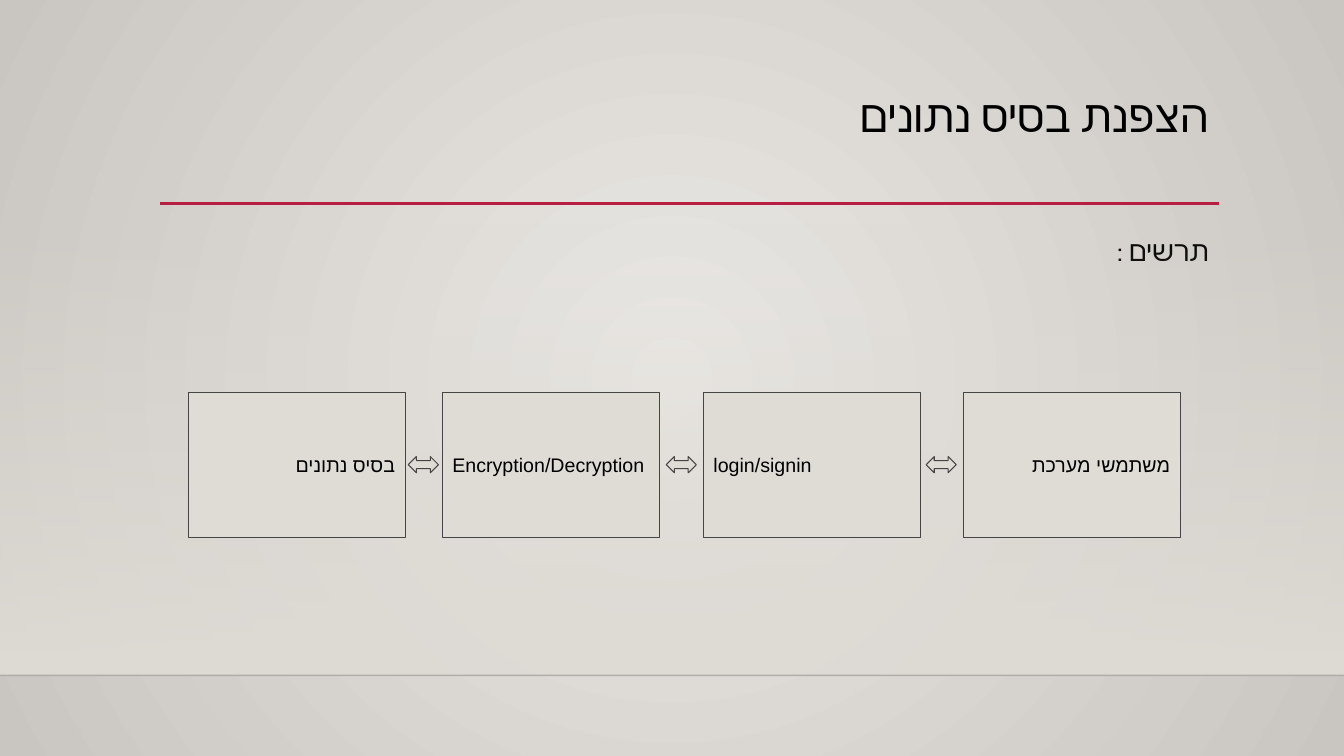
from dataclasses import dataclass

from lxml.etree import SubElement
from pptx import Presentation
from pptx.dml.color import RGBColor
from pptx.enum.shapes import MSO_CONNECTOR as Connector, MSO_SHAPE as Preset
from pptx.enum.text import MSO_ANCHOR as Anchor, MSO_AUTO_SIZE as AutoSize, PP_ALIGN as Align
from pptx.oxml.ns import qn
from pptx.util import Cm, Pt

COLORS = {
    "glow": "EBE9E6", "edge": "C9C5C0", "panel": "DFDBD5", "outline": "454545",
    "accent": "B71E42", "floor": "000001", "text": "000000",
}
SLIDE_WIDTH, SLIDE_HEIGHT = 33.87, 19.05
FLOOR_TOP = 17.02
BOX_TOP, BOX_WIDTH, BOX_HEIGHT = 9.88, 5.46, 3.66
ARROW_WIDTH, ARROW_HEIGHT = 0.76, 0.41


@dataclass
class Stage:
    text: str
    left: float
    rtl: bool


@dataclass
class Rule:
    left: float
    right: float
    top: float
    color: str
    width: float
    opacity: int = 100


@dataclass
class Block:
    text: str
    top: float
    height: float
    size: int
    paragraph_format: dict


STAGES = [
    Stage("בסיס נתונים", 4.75, True),
    Stage("Encryption/Decryption", 11.15, False),
    Stage("login/signin", 17.73, False),
    Stage("משתמשי מערכת", 24.28, True),
]
ARROW_LEFTS = [10.29, 16.79, 23.34]
RULES = [
    Rule(0, SLIDE_WIDTH, FLOOR_TOP, "floor", 1, 20),
    Rule(4.04, 30.73, 5.13, "accent", 2.5),
]
BLOCKS = [
    Block("הצפנת בסיס נתונים ", 2.24, 2.92, 32, {"line_spacing": 0.9}),
    Block("תרשים :", 5.59, 9.58, 20, {"line_spacing": 1.2, "space_before": Pt(10)}),
]


def rgb(name: str) -> RGBColor:
    return RGBColor.from_string(COLORS[name])


def apply(target, values: dict) -> None:
    for name, value in values.items():
        setattr(target, name, value)


def set_opacity(element, percent: int) -> None:
    for color in element.iter(qn("a:srgbClr")):
        SubElement(color, qn("a:alpha"), val=str(percent * 1000))


def set_gradient(fill, first: str, last: str) -> None:
    fill.gradient()
    for stop, name in zip(fill.gradient_stops, (first, last)):
        stop.color.rgb = rgb(name)


def paint_background(slide) -> None:
    """Fill the slide with a gradient that spreads from its centre."""
    set_gradient(slide.background.fill, "glow", "edge")
    gradient = next(slide.element.iter(qn("a:gradFill")))
    gradient.remove(gradient.find(qn("a:lin")))
    circle = SubElement(gradient, qn("a:path"), path="circle")
    SubElement(circle, qn("a:fillToRect"), l="50000", t="50000", r="50000", b="50000")


def add_wall(slide) -> None:
    """Add the panel that fades in from clear to solid at the floor line."""
    wall = slide.shapes.add_shape(
        Preset.RECTANGLE, 0, Cm(5.61), Cm(SLIDE_WIDTH), Cm(FLOOR_TOP - 5.61))
    wall.shadow.inherit = False
    wall.line.fill.background()
    set_gradient(wall.fill, "panel", "panel")
    wall.fill.gradient_angle = 270
    set_opacity(next(wall.element.iter(qn("a:gs"))), 0)


def add_rule(slide, rule: Rule) -> None:
    connector = slide.shapes.add_connector(
        Connector.STRAIGHT, Cm(rule.left), Cm(rule.top), Cm(rule.right), Cm(rule.top))
    connector.line.color.rgb = rgb(rule.color)
    connector.line.width = Pt(rule.width)
    properties = connector.element.spPr
    if rule.opacity < 100:
        set_opacity(properties, rule.opacity)
    SubElement(properties, qn("a:effectLst"))


def write_text(shape, text: str, font_name: str, size: int, rtl: bool) -> None:
    paragraph = shape.text_frame.paragraphs[0]
    paragraph.alignment = Align.RIGHT if rtl else Align.LEFT
    if rtl:
        paragraph._p.get_or_add_pPr().set("rtl", "1")
    run = paragraph.add_run()
    run.text = text
    apply(run.font, {"name": font_name, "size": Pt(size)})
    run.font.color.rgb = rgb("text")
    SubElement(run.font._element, qn("a:cs"), typeface=font_name)


def fill_placeholder(shape, block: Block) -> None:
    apply(shape, {"left": Cm(4.04), "top": Cm(block.top),
                  "width": Cm(26.67), "height": Cm(block.height)})
    apply(shape.text_frame, {"vertical_anchor": Anchor.TOP, "auto_size": AutoSize.NONE,
                             "word_wrap": True})
    write_text(shape, block.text, "Cabin", block.size, True)
    paragraph = shape.text_frame.paragraphs[0]
    apply(paragraph, block.paragraph_format)
    properties = paragraph._p.pPr
    properties.set("marL", "0")
    properties.set("marR", "0")
    properties.set("indent", "0")
    SubElement(properties, qn("a:buNone"))


def add_panel(slide, preset, left: float, top: float, width: float, height: float):
    shape = slide.shapes.add_shape(preset, Cm(left), Cm(top), Cm(width), Cm(height))
    shape.shadow.inherit = False
    shape.fill.solid()
    shape.fill.fore_color.rgb = rgb("panel")
    shape.line.color.rgb = rgb("outline")
    shape.line.width = Pt(0.75)
    return shape


def add_stage(slide, stage: Stage) -> None:
    box = add_panel(slide, Preset.RECTANGLE, stage.left, BOX_TOP, BOX_WIDTH, BOX_HEIGHT)
    margins = {f"margin_{side}": Cm(0.25) for side in ("left", "top", "right", "bottom")}
    apply(box.text_frame, {"vertical_anchor": Anchor.MIDDLE, "word_wrap": True, **margins})
    write_text(box, stage.text, "Arial", 14, stage.rtl)


def main() -> None:
    presentation = Presentation()
    apply(presentation, {"slide_width": Cm(SLIDE_WIDTH), "slide_height": Cm(SLIDE_HEIGHT)})
    slide = presentation.slides.add_slide(presentation.slide_layouts[1])
    paint_background(slide)
    add_wall(slide)
    for rule in RULES:
        add_rule(slide, rule)
    for placeholder, block in zip(slide.placeholders, BLOCKS):
        fill_placeholder(placeholder, block)
    for stage in STAGES:
        add_stage(slide, stage)
    arrow_top = BOX_TOP + (BOX_HEIGHT - ARROW_HEIGHT) / 2
    for left in ARROW_LEFTS:
        add_panel(slide, Preset.LEFT_RIGHT_ARROW, left, arrow_top, ARROW_WIDTH, ARROW_HEIGHT)
    presentation.save("out.pptx")


if __name__ == "__main__":
    main()
